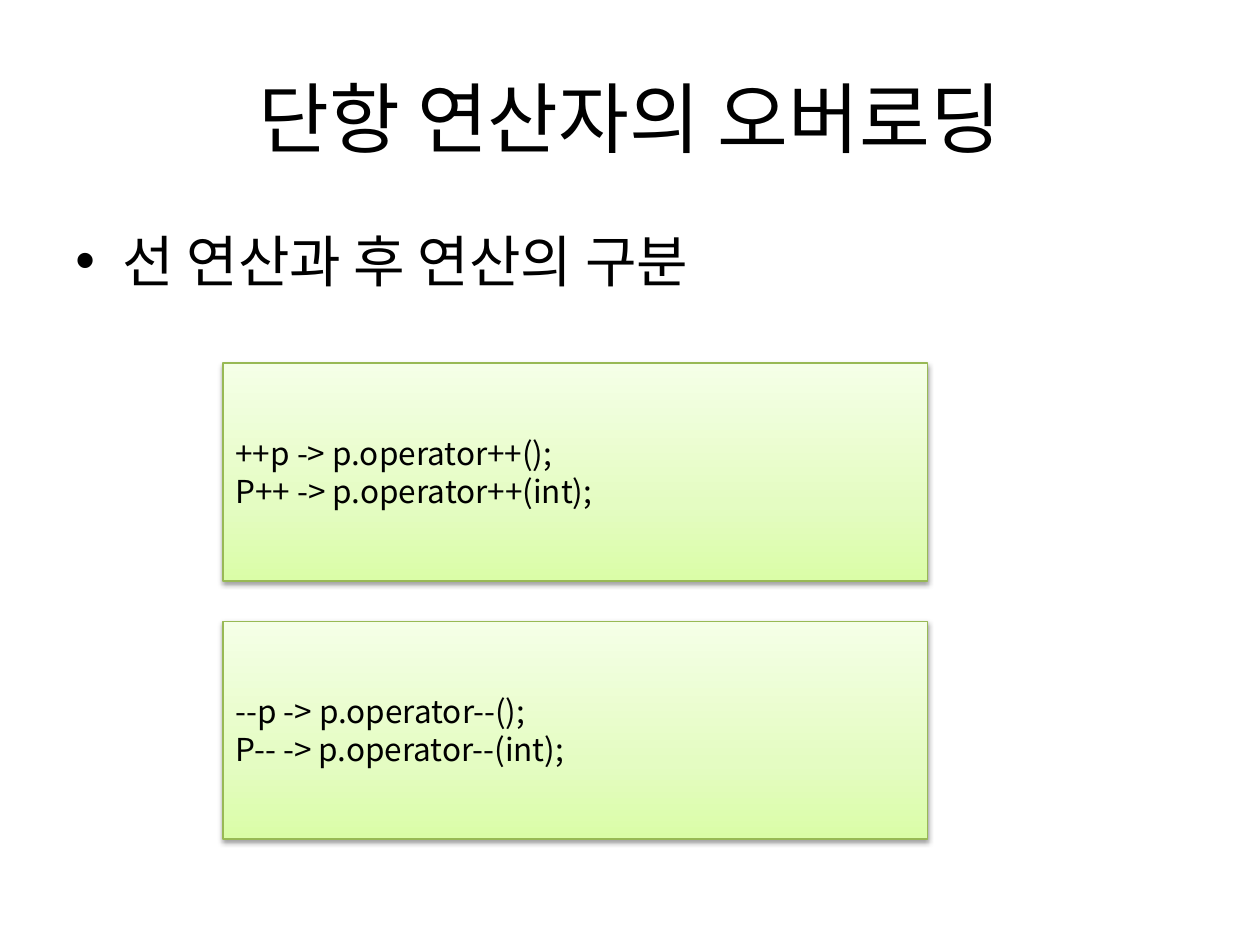
from copy import deepcopy
from dataclasses import dataclass

from lxml.etree import SubElement
from pptx import Presentation
from pptx.dml.color import RGBColor
from pptx.enum.shapes import MSO_SHAPE
from pptx.enum.text import MSO_ANCHOR, PP_ALIGN
from pptx.oxml.ns import qn
from pptx.util import Pt

FONT = "Noto Sans CJK KR"
COLORS = {
    "text": "000000",
    "border": "98B955",
    "deep": "DAFDA7",
    "middle": "E4FCC2",
    "pale": "F5FFE7",
    "shadow": "000000",
}
GRADIENT = [(0, "deep"), (0.35, "middle"), (1, "pale")]


@dataclass
class CodePanel:
    top: float
    lines: list[str]


PANELS = [
    CodePanel(207.5, ["++p -> p.operator++();", "P++ -> p.operator++(int);"]),
    CodePanel(355, ["--p -> p.operator--();", "P-- -> p.operator--(int);"]),
]


def color(name: str) -> RGBColor:
    return RGBColor.from_string(COLORS[name])


def set_font(paragraph, size: float) -> None:
    font = paragraph.font
    font.size = Pt(size)
    font.name = FONT
    font.color.rgb = color("text")
    defaults = paragraph._p.pPr.find(qn("a:defRPr"))
    SubElement(defaults, qn("a:ea"), typeface=FONT)


def add_heading(slide, text: str, top: float, height: float, size: float):
    box = slide.shapes.add_textbox(Pt(36), Pt(top), Pt(648), Pt(height))
    box.text_frame.word_wrap = True
    paragraph = box.text_frame.paragraphs[0]
    paragraph.text = text
    set_font(paragraph, size)
    return box.text_frame


def add_bullet(paragraph, indent: float) -> None:
    properties = paragraph._p.get_or_add_pPr()
    properties.set("marL", str(Pt(indent)))
    properties.set("indent", str(-Pt(indent)))
    defaults = properties.find(qn("a:defRPr"))
    for tag, attribute, value in (("a:buFont", "typeface", "Arial"), ("a:buChar", "char", "•")):
        mark = SubElement(properties, qn(tag), {attribute: value})
        defaults.addprevious(mark)


def fill_gradient(panel) -> None:
    panel.fill.gradient()
    panel.fill.gradient_angle = 90
    stop_list = panel._element.spPr.find(qn("a:gradFill")).find(qn("a:gsLst"))
    stop_list.append(deepcopy(stop_list[-1]))
    for stop, (position, name) in zip(panel.fill.gradient_stops, GRADIENT):
        stop.position = position
        stop.color.rgb = color(name)


def add_shadow(panel) -> None:
    panel.shadow.inherit = False
    effects = panel._element.spPr.find(qn("a:effectLst"))
    shadow = SubElement(effects, qn("a:outerShdw"), blurRad=str(Pt(3.15)),
                        dist=str(Pt(1.57)), dir="5400000", rotWithShape="0")
    tint = SubElement(shadow, qn("a:srgbClr"), val=COLORS["shadow"])
    SubElement(tint, qn("a:alpha"), val="38000")


def add_code_panel(slide, code: CodePanel) -> None:
    panel = slide.shapes.add_shape(
        MSO_SHAPE.RECTANGLE, Pt(127.5), Pt(code.top), Pt(402.5), Pt(124.5))
    fill_gradient(panel)
    panel.line.color.rgb = color("border")
    panel.line.width = Pt(0.75)
    add_shadow(panel)
    frame = panel.text_frame
    frame.vertical_anchor = MSO_ANCHOR.MIDDLE
    frame.text = "\n".join(code.lines)
    for paragraph in frame.paragraphs:
        paragraph.alignment = PP_ALIGN.LEFT
        set_font(paragraph, 18)


presentation = Presentation()
presentation.slide_width = Pt(720)
presentation.slide_height = Pt(540)
slide = presentation.slides.add_slide(presentation.slide_layouts[6])

title = add_heading(slide, "단항 연산자의 오버로딩", 21.6, 90, 44)
title.vertical_anchor = MSO_ANCHOR.MIDDLE
title.paragraphs[0].alignment = PP_ALIGN.CENTER

topic = add_heading(slide, "선 연산과 후 연산의 구분", 126, 356.4, 32)
topic.paragraphs[0].space_before = Pt(6.4)
add_bullet(topic.paragraphs[0], 27)

for code in PANELS:
    add_code_panel(slide, code)

presentation.save("out.pptx")
